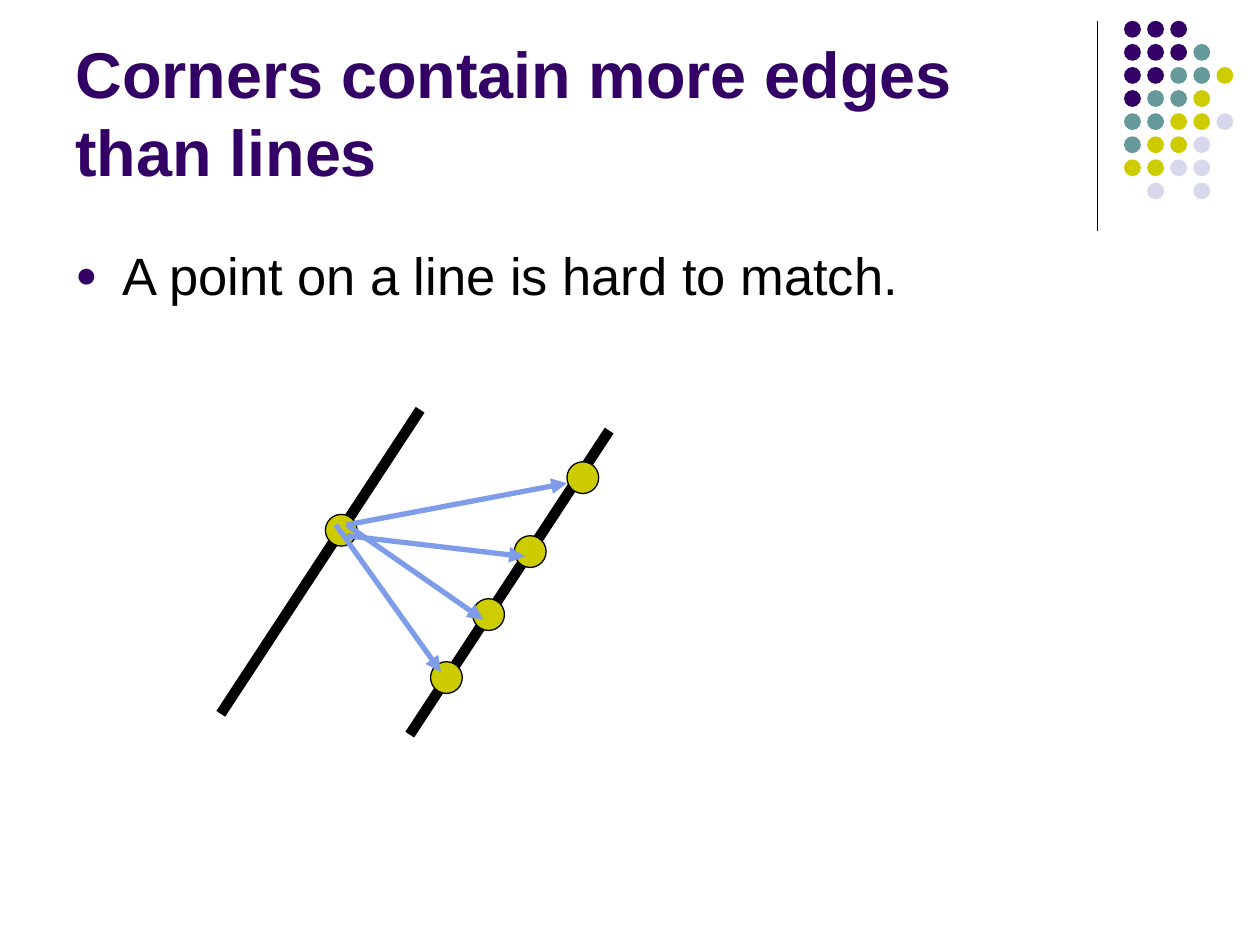
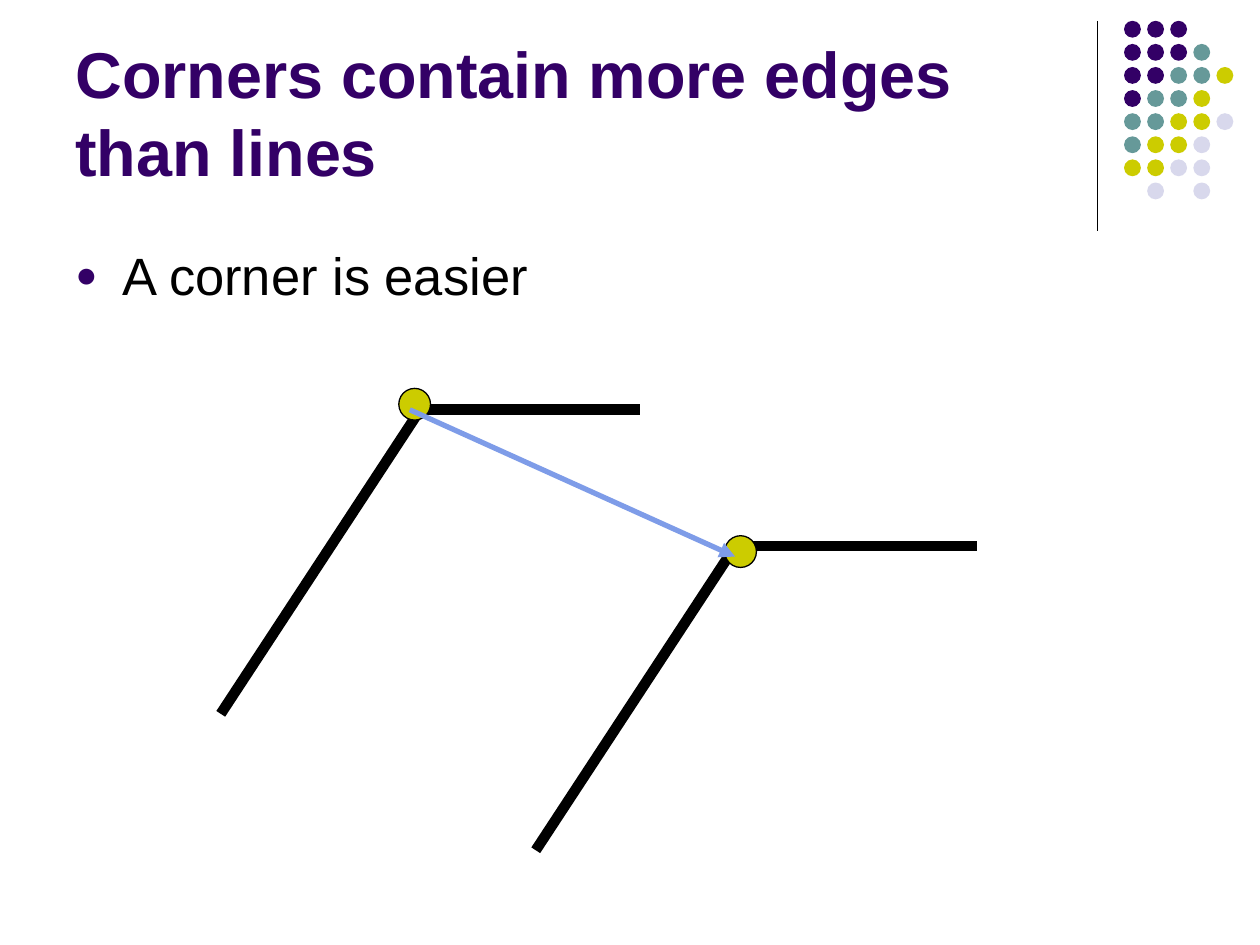
from dataclasses import dataclass

import lxml.etree
import pptx
import pptx.dml.color
import pptx.enum.shapes
import pptx.enum.text
import pptx.oxml.ns
import pptx.util

Cm = pptx.util.Cm


@dataclass(frozen=True)
class Theme:
    font: str = "Arial"
    purple: str = "330066"
    teal: str = "669999"
    olive: str = "CCCC00"
    lavender: str = "D8D8EC"
    arrow: str = "7E9CE8"
    black: str = "000000"
    title_size: float = 37
    body_size: float = 30
    thin_line: float = 0.75
    arrow_line: float = 3
    edge_line: float = 6


THEME = Theme()
TITLE = "Corners contain more edges than lines"

# Dot ornament: one letter per colour, one string per row
DOT_COLORS = {"P": THEME.purple, "T": THEME.teal, "O": THEME.olive, "L": THEME.lavender}
DOT_ROWS = ["PPP", "PPPT", "PPTTO", "PTTO", "TTOOL", "TOOL", "OOLL", "-L-L"]
DOT_LEFT, DOT_TOP, DOT_SIZE = 22.66, 0.42, 0.34
DOT_PITCH = 3.26 / 7

# Diagram measures in centimetres
POINT_SIZE = 0.64
EDGE_RUN, EDGE_DROP = -4.02, 6.13


def rgb(color):
    return pptx.dml.color.RGBColor.from_string(color)


def add_element(parent, tag, **attributes):
    element = lxml.etree.SubElement(parent, pptx.oxml.ns.qn(tag))
    for name, value in attributes.items():
        element.set(name, value)
    return element


def add_line(slide, start, end, color, width, arrow=False):
    line = slide.shapes.add_connector(
        pptx.enum.shapes.MSO_CONNECTOR.STRAIGHT,
        *(Cm(value) for value in (*start, *end)))
    line.line.color.rgb = rgb(color)
    line.line.width = pptx.util.Pt(width)
    properties = line._element.spPr
    if arrow:
        outline = properties.find(pptx.oxml.ns.qn("a:ln"))
        add_element(outline, "a:tailEnd", type="triangle")
    add_element(properties, "a:effectLst")


def add_circle(slide, left, top, size, color, outlined=False):
    circle = slide.shapes.add_shape(
        pptx.enum.shapes.MSO_SHAPE.OVAL, Cm(left), Cm(top), Cm(size), Cm(size))
    circle.shadow.inherit = False
    circle.fill.solid()
    circle.fill.fore_color.rgb = rgb(color)
    if outlined:
        circle.line.color.rgb = rgb(THEME.black)
        circle.line.width = pptx.util.Pt(THEME.thin_line)
    else:
        circle.line.fill.background()


def add_text(slide, text, box, size, color, bold=False, bullet=False, bottom=False):
    text_frame = slide.shapes.add_textbox(*(Cm(value) for value in box)).text_frame
    text_frame.word_wrap = True
    if bottom:
        text_frame.vertical_anchor = pptx.enum.text.MSO_ANCHOR.BOTTOM
    text_frame.text = text
    paragraph = text_frame.paragraphs[0]
    if bullet:
        add_bullet(paragraph)
    font = paragraph.runs[0].font
    font.name, font.size, font.bold = THEME.font, pptx.util.Pt(size), bold
    font.color.rgb = rgb(color)


def add_bullet(paragraph):
    properties = paragraph._p.get_or_add_pPr()
    indent = Cm(0.95)
    properties.set("marL", str(indent))
    properties.set("indent", str(-indent))
    add_element(add_element(properties, "a:buClr"), "a:srgbClr", val=THEME.purple)
    add_element(properties, "a:buSzPct", val="70000")
    add_element(properties, "a:buFont", typeface=THEME.font)
    add_element(properties, "a:buChar", char="●")


def add_edge(slide, start, end=None):
    """Thick line; without an end it follows the common slope."""
    end = end or (start[0] + EDGE_RUN, start[1] + EDGE_DROP)
    add_line(slide, start, end, THEME.black, THEME.edge_line)


def add_points(slide, positions):
    for left, top in positions:
        add_circle(slide, left, top, POINT_SIZE, THEME.olive, outlined=True)


def add_match_arrow(slide, start, end):
    add_line(slide, start, end, THEME.arrow, THEME.arrow_line, arrow=True)


def add_base_slide(presentation, statement):
    slide = presentation.slides.add_slide(presentation.slide_layouts[6])
    # Corner ornament
    add_line(slide, (22.12, 0.42), (22.12, 4.66), THEME.black, THEME.thin_line)
    for row, letters in enumerate(DOT_ROWS):
        for column, letter in enumerate(letters):
            if letter in DOT_COLORS:
                add_circle(slide, DOT_LEFT + column * DOT_PITCH,
                           DOT_TOP + row * DOT_PITCH, DOT_SIZE, DOT_COLORS[letter])
    # Title and statement
    add_text(slide, TITLE, (1.27, 0.33, 20.96, 3.61), THEME.title_size,
             THEME.purple, bold=True, bottom=True)
    add_text(slide, statement, (1.27, 4.78, 22.86, 12.24), THEME.body_size,
             THEME.black, bullet=True)
    return slide


def add_line_slide(presentation):
    slide = add_base_slide(presentation, "A point on a line is hard to match.")
    add_edge(slide, (8.47, 8.26))
    add_edge(slide, (12.28, 8.68))
    add_points(slide, [(6.56, 10.37), (10.37, 10.8), (9.53, 12.07),
                       (8.68, 13.34), (11.43, 9.31)])
    for start, end in [((6.99, 10.58), (11.43, 9.74)),
                       ((6.99, 10.8), (10.58, 11.22)),
                       ((6.99, 10.58), (9.74, 12.49)),
                       ((6.77, 10.58), (8.89, 13.55))]:
        add_match_arrow(slide, start, end)


def add_corner_slide(presentation):
    slide = add_base_slide(presentation, "A corner is easier")
    corners = [(8.47, 8.26), (14.82, 11.01)]
    for corner, right_end in zip(corners, (12.91, 19.69)):
        add_edge(slide, corner)
        add_edge(slide, corner, (right_end, corner[1]))
    add_points(slide, [(14.61, 10.8), (8.04, 7.83)])
    add_match_arrow(slide, (8.26, 8.26), (14.82, 11.22))


def main():
    presentation = pptx.Presentation()
    presentation.slide_width = Cm(25.4)
    presentation.slide_height = Cm(19.05)
    add_line_slide(presentation)
    add_corner_slide(presentation)
    presentation.save("out.pptx")


if __name__ == "__main__":
    main()
